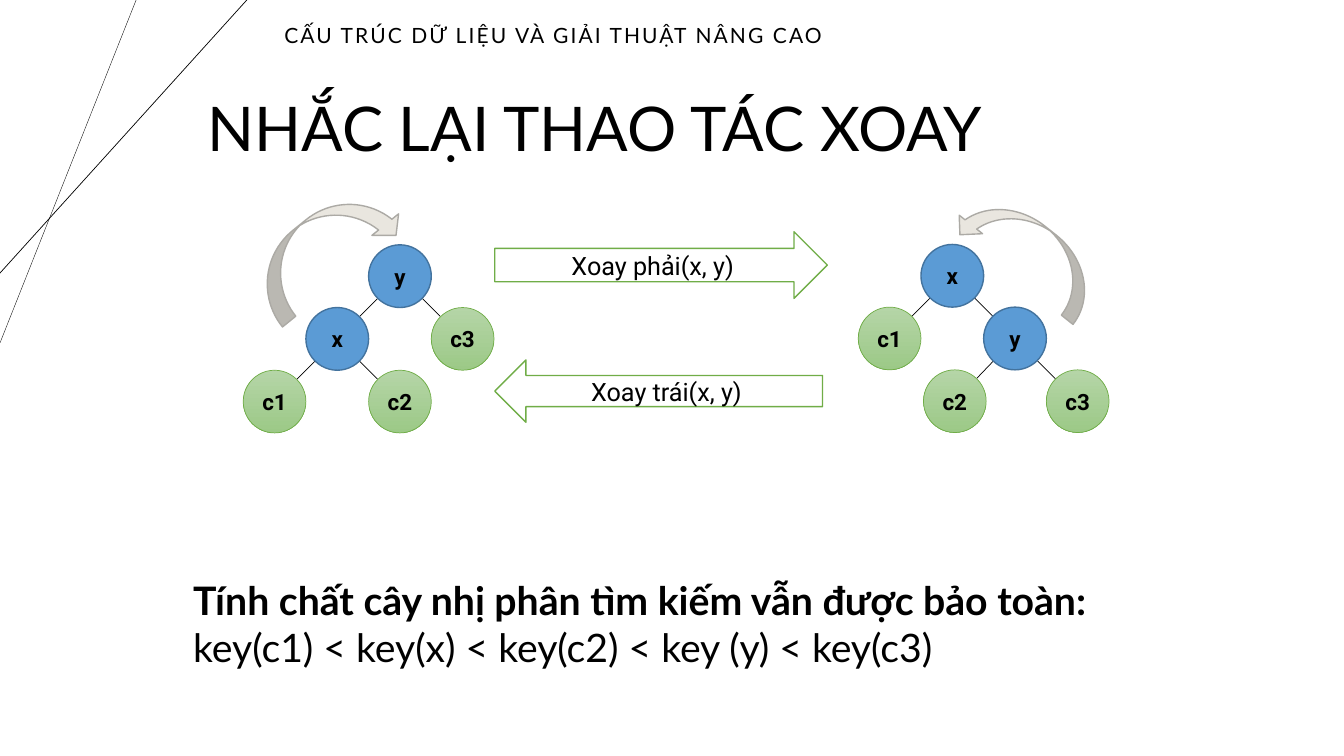
from math import hypot

from lxml.etree import SubElement
from pptx import Presentation
from pptx.dml.color import RGBColor
from pptx.enum.shapes import MSO_CONNECTOR, MSO_SHAPE
from pptx.enum.text import MSO_ANCHOR, MSO_AUTO_SIZE, PP_ALIGN
from pptx.oxml.ns import qn
from pptx.util import Cm, Pt

BLACK = RGBColor(0x00, 0x00, 0x00)
WHITE = RGBColor(0xFF, 0xFF, 0xFF)
BLUE = RGBColor(0x5B, 0x9B, 0xD5)
BLUE_EDGE = RGBColor(0x43, 0x73, 0x9E)
GREEN_TOP = RGBColor(0xB5, 0xD5, 0xA7)
GREEN_BOTTOM = RGBColor(0x9C, 0xC9, 0x87)
GREEN_EDGE = RGBColor(0x70, 0xAD, 0x47)
SAND = RGBColor(0xE9, 0xE6, 0xDF)
SAND_EDGE = RGBColor(0xAC, 0xAA, 0xA5)

# Content; all lengths in cm, boxes as left, top, width, height
COURSE = "CẤU TRÚC DỮ LIỆU VÀ GIẢI THUẬT NÂNG CAO"
COURSE_BOX = (6.15, 0.2, 15.6, 1.45)
TEXT_BOXES = [
    ((4.98, 2.13, 27.18, 2.13), [("NHẮC LẠI THAO TÁC XOAY", 44, False)]),
    ((4.62, 14.4, 24.61, 2.64), [
        ("Tính chất cây nhị phân tìm kiếm vẫn được bảo toàn:", 28, True),
        ("key(c1) < key(x) < key(c2) < key (y) < key(c3)", 28, False)]),
]
CORNER_LINES = [((3.43, 0), (0, 8.64), 0.25), ((6.22, 0), (0, 6.88), 0.5)]

# Trees: root centre, nodes as (column, row) from the root, edges
NODE = 1.58  # node diameter and grid step
TREES = [
    ((10.08, 6.96),
     {"y": (0, 0), "x": (-1, 1), "c1": (-2, 2), "c2": (0, 2), "c3": (1, 1)},
     ["y x", "x c1", "x c2", "y c3"]),
    ((24.0, 6.95),
     {"x": (0, 0), "c1": (-1, 1), "y": (1, 1), "c2": (0.04, 2), "c3": (2, 2)},
     ["x c1", "x y", "y c2", "y c3"]),
]
ROTATIONS = [
    (MSO_SHAPE.RIGHT_ARROW, (12.47, 5.84, 8.38, 1.68), "Xoay phải(x, y)"),
    (MSO_SHAPE.LEFT_ARROW, (12.47, 9.07, 8.26, 1.57), "Xoay trái(x, y)"),
]
CURVES = [
    (MSO_SHAPE.CURVED_DOWN_ARROW, (6.12, 5.41, 4.11, 1.73), 321.1, (0.25, 0.5, 0.22)),
    (MSO_SHAPE.CURVED_UP_ARROW, (23.93, 5.59, 4.01, 1.5), 218.4, ()),
]

prs = Presentation()
prs.slide_width, prs.slide_height = Cm(33.87), Cm(19.05)
s = prs.slides.add_slide(prs.slide_layouts[5])


def lengths(values):
    return [Cm(v) for v in values]


def write(p, text, **font):
    r = p.add_run()
    r.text = text
    r.font.color.rgb = BLACK
    for name, value in font.items():
        setattr(r.font, name, value)
    return r


def add_line(start, end, width):
    line = s.shapes.add_connector(MSO_CONNECTOR.STRAIGHT, *lengths(start + end))
    line.line.color.rgb = BLACK
    line.line.width = Pt(width)
    SubElement(line._element.spPr, qn("a:effectLst"))


def add_shape(kind, box, fill, edge, width=1):
    """A list of two colours as fill gives a gradient from top to bottom."""
    sp = s.shapes.add_shape(kind, *lengths(box))
    sp.shadow.inherit = False
    if isinstance(fill, list):
        sp.fill.gradient()
        sp.fill.gradient_angle = 270
        for stop, color in zip(sp.fill.gradient_stops, fill):
            stop.color.rgb = color
    else:
        sp.fill.solid()
        sp.fill.fore_color.rgb = fill
    sp.line.color.rgb = edge
    sp.line.width = Pt(width)
    return sp


def label(sp, text, **font):
    tf = sp.text_frame
    for name, value in {"margin_left": 0, "margin_right": 0, "word_wrap": False,
                        "vertical_anchor": MSO_ANCHOR.MIDDLE}.items():
        setattr(tf, name, value)
    p = tf.paragraphs[0]
    p.alignment = PP_ALIGN.CENTER
    write(p, text, name="Roboto", **font)


# Corner decoration
for start, end, width in CORNER_LINES:
    add_line(start, end, width)

# Course name in the title placeholder
title = s.shapes.title
for name, value in zip(("left", "top", "width", "height"), lengths(COURSE_BOX)):
    setattr(title, name, value)
tf = title.text_frame
tf.auto_size = MSO_AUTO_SIZE.NONE
tf.vertical_anchor = MSO_ANCHOR.MIDDLE
p = tf.paragraphs[0]
p.alignment = PP_ALIGN.CENTER
p.line_spacing = 0.9
r = write(p, COURSE, name="Lato", size=Pt(15))
r.font._element.set("spc", "150")

# Heading and conclusion
for box, lines in TEXT_BOXES:
    tf = s.shapes.add_textbox(*lengths(box)).text_frame
    tf.word_wrap = True
    tf.auto_size = MSO_AUTO_SIZE.SHAPE_TO_FIT_TEXT
    for i, (text, size, bold) in enumerate(lines):
        p = tf.add_paragraph() if i else tf.paragraphs[0]
        write(p, text, name="Lato", size=Pt(size), bold=bold)

# Trees: edges run from rim to rim along the line between centres
for (root_x, root_y), nodes, edges in TREES:
    centres = {n: (root_x + c * NODE, root_y + row * NODE) for n, (c, row) in nodes.items()}
    for edge in edges:
        (x1, y1), (x2, y2) = (centres[n] for n in edge.split())
        rim = NODE / 2 / hypot(x2 - x1, y2 - y1)
        dx, dy = (x2 - x1) * rim, (y2 - y1) * rim
        add_line((x1 + dx, y1 + dy), (x2 - dx, y2 - dy), 0.5)
    for name, (x, y) in centres.items():
        look = ([GREEN_TOP, GREEN_BOTTOM], GREEN_EDGE, 0.5) if name[0] == "c" else (BLUE, BLUE_EDGE)
        box = (x - NODE / 2, y - NODE / 2, NODE, NODE)
        label(add_shape(MSO_SHAPE.OVAL, box, *look), name, size=Pt(16), bold=True)

# Rotation arrows
for kind, box, text in ROTATIONS:
    label(add_shape(kind, box, WHITE, GREEN_EDGE), text, size=Pt(18))
for kind, box, angle, adjustments in CURVES:
    sp = add_shape(kind, box, SAND, SAND_EDGE)
    sp.rotation = angle
    for i, value in enumerate(adjustments):
        sp.adjustments[i] = value

prs.save("out.pptx")
